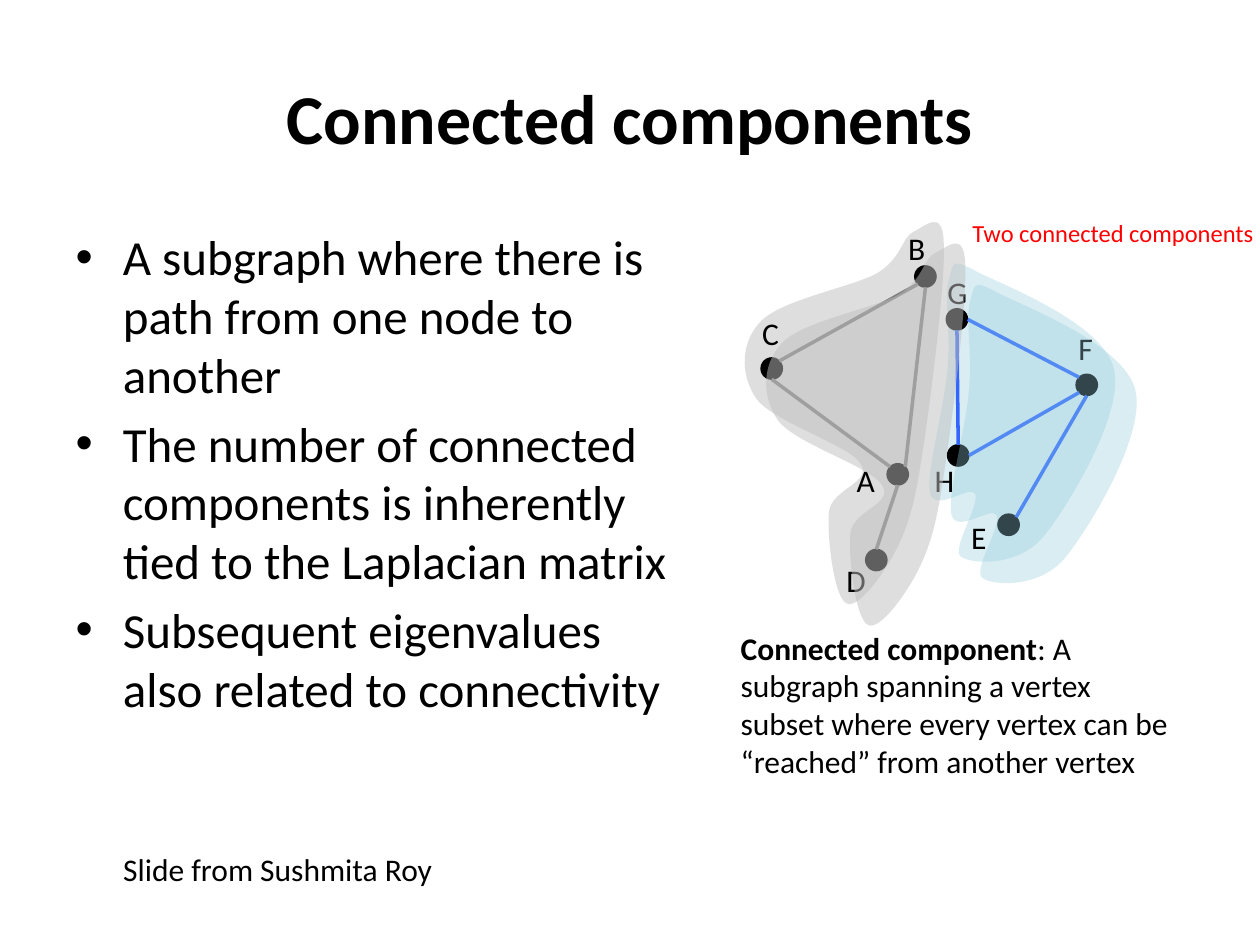
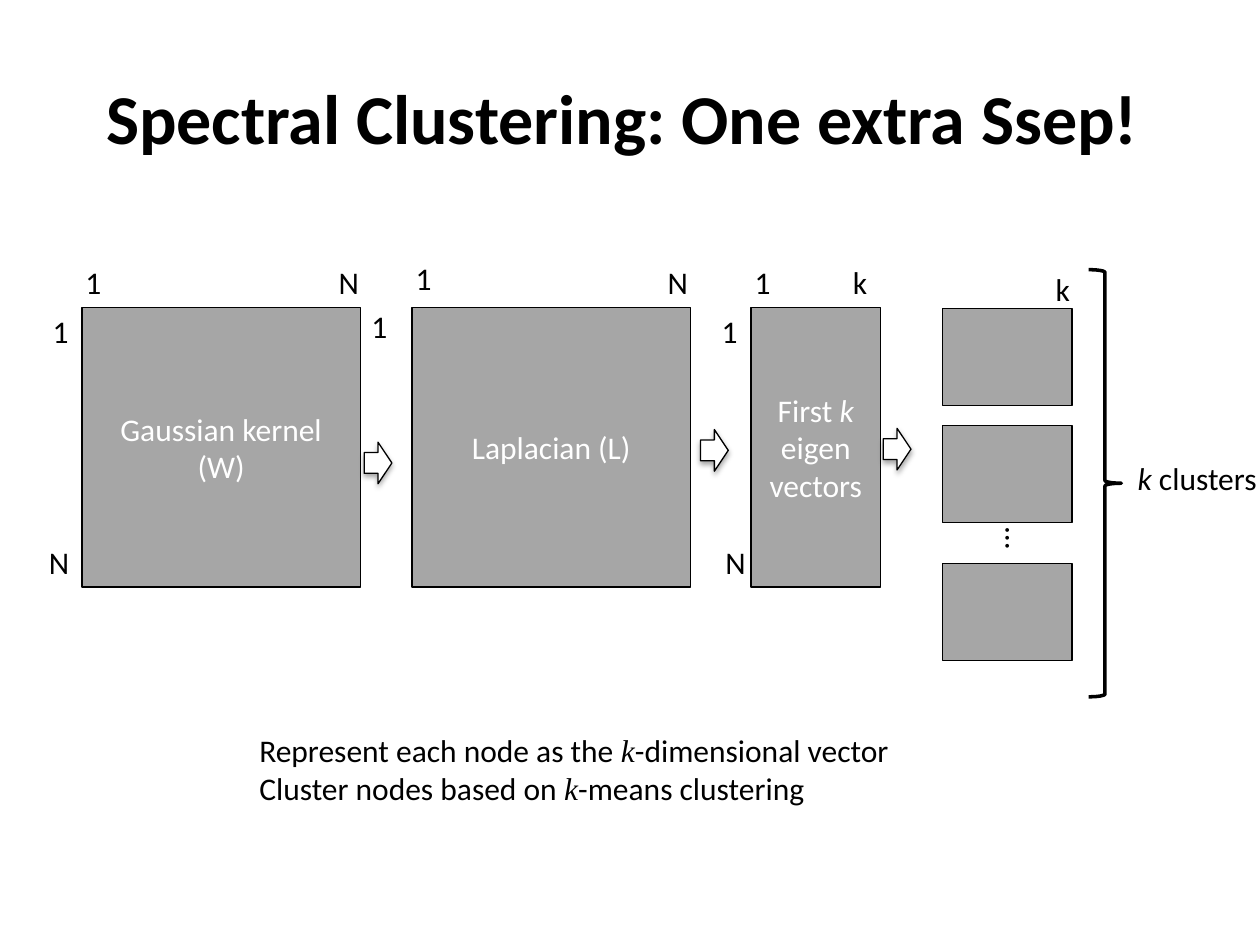
import dataclasses
import lxml.etree
import pptx
import pptx.dml.color
import pptx.enum.shapes
import pptx.enum.text
import pptx.oxml.ns
import pptx.util

PX = 9144
FORM = pptx.enum.shapes.MSO_SHAPE
ALIGN = pptx.enum.text.PP_ALIGN
MID = pptx.enum.text.MSO_ANCHOR.MIDDLE
FIT = pptx.enum.text.MSO_AUTO_SIZE.SHAPE_TO_FIT_TEXT
qn = pptx.oxml.ns.qn


@dataclasses.dataclass(frozen=True)
class Theme:
    """Colours, fonts and type sizes of the slides."""
    font: str = "Calibri"
    math: str = "Times New Roman"
    ink: str = "000000"
    paper: str = "FFFFFF"
    alert: str = "FF0000"
    panel: str = "A6A6A6"
    grey: str = "7F7F7F"
    blue: str = "3366FF"
    cloud: str = "BFBFBF"
    sky: str = "93CDDD"
    title: int = 40
    body: int = 28
    text: int = 18
    small: int = 14
    thin: float = 0.75
    thick: float = 2


LOOK = Theme()
TITLE_BOX = (50, 30, 900, 125)
BODY_BOX = (50, 175, 491, 495)

CLOUD = (158, 304), (134, 8), [
    (125, 12, 125, 29, 105, 41), (85, 52, 29, 62, 13, 79),
    (-3, 95, -4, 121, 9, 140), (22, 159, 83, 177, 92, 192),
    (102, 207, 69, 212, 67, 230), (65, 249, 71, 299, 81, 303),
    (90, 308, 112, 278, 122, 257), (132, 236, 136, 218, 142, 178),
    (148, 138, 160, 44, 158, 16), (157, -11, 143, 4, 134, 8)]
SKY = (147, 237), (38, 7), [
    (16, -5, 19, 0, 15, 13), (11, 26, 17, 56, 14, 84),
    (12, 112, -3, 165, 0, 182), (4, 199, 32, 175, 36, 183),
    (40, 192, 16, 228, 25, 233), (34, 239, 71, 241, 91, 216),
    (111, 191, 155, 118, 146, 83), (136, 47, 60, 18, 38, 7)]

NODES = {"A": (113, 192), "B": (135, 35), "C": (13, 108), "D": (96, 260),
         "E": (201, 232), "F": (263, 121), "G": (160, 69), "H": (161, 177)}
LABELS = {"A": (79, 185, 35), "B": (120, 1, 34), "C": (4, 68, 34),
          "D": (71, 264, 36), "E": (170, 230, 33), "F": (255, 80, 33),
          "G": (151, 36, 36), "H": (141, 185, 36)}
SITES = {"n": (0, -8.5), "s": (0, 8.5), "e": (8.5, 0), "ne": (6, -6),
         "nw": (-6, -6), "sw": (-6, 6)}
EDGES = [("C", "ne", "B", "sw", LOOK.grey), ("C", "s", "A", "nw", LOOK.grey),
         ("A", "s", "D", "n", LOOK.grey), ("A", "ne", "B", "s", LOOK.grey),
         ("G", "s", "H", "n", LOOK.blue), ("F", "nw", "G", "e", LOOK.blue),
         ("F", "sw", "H", "e", LOOK.blue), ("F", "s", "E", "ne", LOOK.blue)]


def rgb(code):
    """Return a colour from its hex code."""
    return pptx.dml.color.RGBColor.from_string(code)


def emu(*sizes):
    """Turn px lengths into EMU."""
    return [round(size * PX) for size in sizes]


def place(item, box):
    """Move and size an item."""
    item.left, item.top, item.width, item.height = emu(*box)


def style(run, size, color, mark=""):
    """Format a run; marks are b bold, i italic and m math."""
    font = run.font
    font.name = LOOK.math if "m" in mark else LOOK.font
    font.size = pptx.util.Pt(size)
    font.color.rgb = rgb(color)
    font.bold = "b" in mark
    font.italic = "i" in mark


def write(frame, lines, size=LOOK.text, color=LOOK.ink, align=None):
    """Fill a frame with lines, each a string or a list of text and mark."""
    frame.text = "\n".join(
        line if isinstance(line, str) else "" for line in lines)
    for para, line in zip(frame.paragraphs, lines):
        para.alignment = align
        if isinstance(line, str):
            style(para.runs[0], size, color)
            continue
        for words, mark in line:
            run = para.add_run()
            run.text = words
            style(run, size, color, mark)


def label(slide, box, lines, size=LOOK.text, color=LOOK.ink, wrap=False):
    """Add a text box."""
    item = slide.shapes.add_textbox(*emu(*box))
    write(item.text_frame, lines, size, color)
    item.text_frame.word_wrap = wrap
    item.text_frame.auto_size = FIT
    return item


def form(slide, kind, box, fill=None, width=LOOK.thin):
    """Add a flat preset shape with a black outline."""
    item = slide.shapes.add_shape(kind, *emu(*box))
    item.shadow.inherit = False
    if fill:
        item.fill.solid()
        item.fill.fore_color.rgb = rgb(fill)
    else:
        item.fill.background()
    item.line.color.rgb = rgb(LOOK.ink)
    item.line.width = pptx.util.Pt(width)
    return item


def add(parent, tag, **attrs):
    """Add a drawing element below a parent."""
    attrs = {key: str(value) for key, value in attrs.items()}
    return lxml.etree.SubElement(parent, qn("a:" + tag), attrs)


def blob(slide, left, top, outline, color, alpha):
    """Add a clear curved area at a corner."""
    (width, height), start, curves = outline
    pen = slide.shapes.build_freeform(*start, scale=PX)
    pen.add_line_segments([curve[4:] for curve in curves])
    item = pen.convert_to_shape()
    place(item, (left, top, width, height))
    track = next(item.element.iter(qn("a:path")))
    track.set("w", str(width))
    track.set("h", str(height))
    for child in list(track):
        track.remove(child)
    add(add(track, "moveTo"), "pt", x=start[0], y=start[1])
    for curve in curves:
        bend = add(track, "cubicBezTo")
        for x, y in zip(curve[::2], curve[1::2]):
            add(bend, "pt", x=x, y=y)
    add(track, "close")
    item.shadow.inherit = False
    item.fill.solid()
    item.fill.fore_color.rgb = rgb(color)
    item.line.fill.background()
    tint = next(item.element.spPr.iter(qn("a:srgbClr")))
    add(tint, "alpha", val=alpha * 1000)


def clouds(slide, left, top):
    """Add the areas of both components."""
    blob(slide, left, top, CLOUD, LOOK.cloud, 50)
    blob(slide, left + 147, top + 33, SKY, LOOK.sky, 34)


def edge(slide, start, end, color):
    """Add a straight edge."""
    kind = pptx.enum.shapes.MSO_CONNECTOR.STRAIGHT
    item = slide.shapes.add_connector(kind, *emu(*start, *end))
    item.line.color.rgb = rgb(color)
    item.line.width = pptx.util.Pt(LOOK.thick)
    add(item.element.spPr, "effectLst")


def graph(slide, left, top):
    """Draw the graph with its two components."""
    def site(name, side):
        x, y = NODES[name]
        across, down = SITES[side]
        return left + x + 8.5 + across, top + y + 8.5 + down

    clouds(slide, left, top)
    for x, y in NODES.values():
        form(slide, FORM.OVAL, (left + x, top + y, 17, 17), LOOK.ink)
    for name, (x, y, width) in LABELS.items():
        label(slide, (left + x, top + y, width, 40), [name])
    for tail, out, head, into, color in EDGES:
        edge(slide, site(tail, out), site(head, into), color)
    label(slide, (left + 171, top - 8, 247, 34),
          ["Two connected components"], LOOK.small, LOOK.alert)
    clouds(slide, left + 17, top + 17)


def panel(slide, box, line=None):
    """Add a grey panel with centred white text."""
    item = form(slide, FORM.RECTANGLE, box, LOOK.panel)
    if line:
        frame = item.text_frame
        frame.word_wrap = True
        frame.vertical_anchor = MID
        write(frame, [line], color=LOOK.paper, align=ALIGN.CENTER)


def arrow(slide, left, top):
    """Add a white block arrow with a soft shadow."""
    item = form(slide, FORM.RIGHT_ARROW, (left, top, 22, 33), LOOK.paper)
    glow = next(item.element.spPr.iter(qn("a:effectLst")))
    cast = add(glow, "outerShdw", blurRad=39370, dist=22860, dir=5400000,
               rotWithShape=0)
    add(add(cast, "srgbClr", val=LOOK.ink), "alpha", val=35000)


def flow(slide, left, top):
    """Draw the steps from kernel to clusters."""
    steps = [(0, 221, "Gaussian kernel (W)"), (262, 221, "Laplacian (L)"),
             (531, 103, [("First ", ""), ("k ", "i"), ("eigen vectors", "")])]
    for x, width, line in steps:
        panel(slide, (left + x, top, width, 222), line)
    for y in (1, 94, 203):
        panel(slide, (left + 683, top + y, 103, 77))
    marks = {"1": (33, [(-33, -1), (-7, -40), (220, -5), (255, -43),
                        (498, -1), (524, -40)]),
             "N": (36, [(-36, 182), (194, -40), (455, -40), (501, 182)]),
             "k": (32, [(602, -40), (763, -35)])}
    for name, (width, spots) in marks.items():
        for x, y in spots:
            label(slide, (left + x, top + y, width, 40), [name])
    for x, y in ((224, 107), (491, 97), (636, 96)):
        arrow(slide, left + x, top + y)
    dots = label(slide, (left + 724, top + 164, 38, 40), ["…"])
    dots.rotation = 90
    form(slide, FORM.RIGHT_BRACE, (left + 799, top - 30, 26, 339),
         width=LOOK.thick)
    label(slide, (left + 828, top + 115, 118, 40),
          [[("k", "i"), (" clusters", "")]])


def start(deck, layout, title):
    """Add a slide with its title."""
    slide = deck.slides.add_slide(deck.slide_layouts[layout])
    head = slide.shapes.title
    place(head, TITLE_BOX)
    head.text_frame.vertical_anchor = MID
    write(head.text_frame, [[(title, "b")]], LOOK.title, align=ALIGN.CENTER)
    return slide


def parts(deck):
    """Build the slide on connected components."""
    slide = start(deck, 1, "Connected components")
    body = slide.placeholders[1]
    place(body, BODY_BOX)
    write(body.text_frame, [
        "A subgraph where there is path from one node to another",
        "The number of connected components is inherently tied to the "
        "Laplacian matrix",
        "Subsequent eigenvalues also related to connectivity"], LOOK.body)
    graph(slide, 591, 176)
    label(slide, (578, 494, 368, 131), [[
        ("Connected component", "b"),
        (": A subgraph spanning a vertex subset where every vertex can be "
         "“reached” from another vertex", "")]], wrap=True)
    label(slide, (88, 670, 397, 40), ["Slide from Sushmita Roy"], wrap=True)


def groups(deck):
    """Build the slide on spectral clustering."""
    slide = start(deck, 5, "Spectral Clustering: One extra Ssep! ")
    flow(slide, 65, 244)
    label(slide, (196, 575, 600, 71), [
        [("Represent each node as the ", ""), ("k", "im"),
         ("-dimensional vector", "")],
        [("Cluster nodes based on ", ""), ("k", "im"),
         ("-means clustering", "")]], wrap=True)


def main():
    """Build and save the deck."""
    deck = pptx.Presentation()
    deck.slide_width, deck.slide_height = emu(1000, 750)
    parts(deck)
    groups(deck)
    deck.save("out.pptx")


if __name__ == "__main__":
    main()
